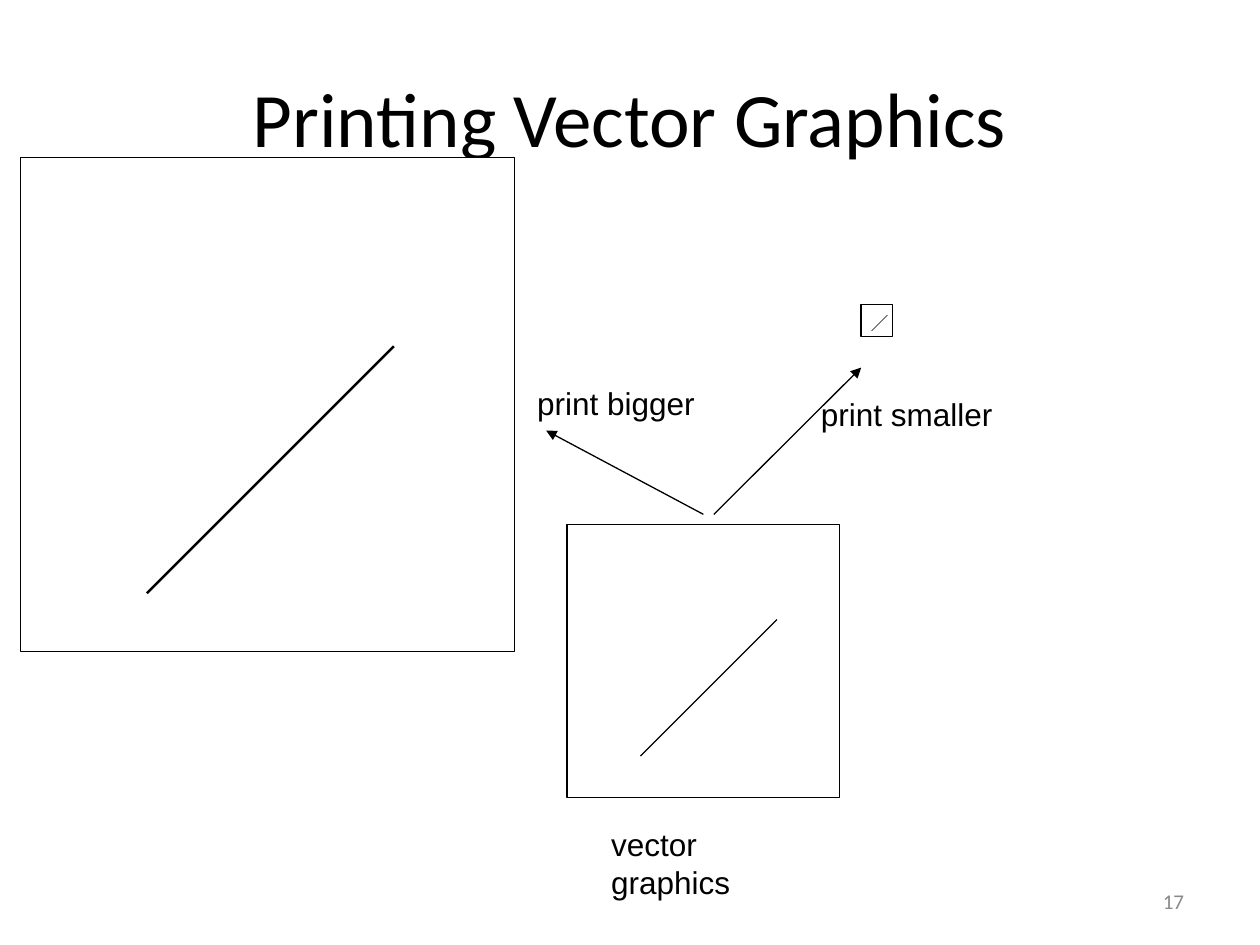
"""Build the slide on printing vector graphics at different sizes."""
from lxml.etree import SubElement as Sub
from pptx import Presentation
from pptx.dml.color import RGBColor as RGB
from pptx.enum.shapes import MSO_CONNECTOR as Conn, MSO_SHAPE as Form
from pptx.enum.text import MSO_ANCHOR as Anchor, PP_ALIGN as Align
from pptx.oxml.ns import qn
from pptx.util import Cm, Pt


def write(box, text, font="Arial", size=18, color="000000",
          align=Align.LEFT, anchor=Anchor.TOP, wrap=False):
    frame = box.text_frame
    frame.word_wrap = wrap
    frame.vertical_anchor = anchor
    para = frame.paragraphs[0]
    para.alignment = align
    run = para.add_run()
    run.text = text
    run.font.name = font
    run.font.size = Pt(size)
    run.font.color.rgb = RGB.from_string(color)


def draw(ends, width=0.75, arrow=False):
    line = shapes.add_connector(Conn.STRAIGHT, *map(Cm, ends))
    line.line.color.rgb = RGB.from_string("000000")
    line.line.width = Pt(width)
    if arrow:
        Sub(line.line._get_or_add_ln(), qn("a:tailEnd"), type="triangle")
    Sub(line._element.spPr, qn("a:effectLst"))


deck = Presentation()
deck.slide_width, deck.slide_height = Cm(25.4), Cm(19.05)
slide = deck.slides.add_slide(deck.slide_layouts[5])
shapes = slide.shapes

title = shapes.title
title.left, title.top = Cm(1.27), Cm(0.76)
title.width, title.height = Cm(22.86), Cm(3.18)
write(title, "Printing Vector Graphics", font="Calibri", size=44,
      align=Align.CENTER, anchor=Anchor.MIDDLE, wrap=True)

page = shapes.add_textbox(Cm(18.2), Cm(17.65), Cm(5.92), Cm(1.02))
write(page, "17", font="Calibri", size=12, color="898989",
      align=Align.RIGHT, anchor=Anchor.MIDDLE, wrap=True)

for ends in [(14.39, 10.37, 17.36, 7.41), (14.18, 10.37, 11.01, 8.68)]:
    draw(ends, arrow=True)

labels = [
    ("vector graphics", 12.07, 16.51, 4.8),
    ("print bigger", 10.58, 7.62, 3.68),
    ("print smaller", 16.3, 7.83, 3.96),
]
for text, left, top, width in labels:
    label = shapes.add_textbox(Cm(left), Cm(top), Cm(width), Cm(1.02))
    write(label, text)

sheets = [
    (11.43, 10.58, 5.5, (12.91, 15.24, 15.66, 12.49), 0.75),
    (0.42, 3.18, 9.95, (2.96, 11.96, 7.94, 6.98), 1.5),
    (17.36, 6.14, 0.64, (17.57, 6.67, 17.89, 6.35), 0.25),
]
for left, top, side, ends, width in sheets:
    sheet = shapes.add_shape(Form.RECTANGLE, Cm(left), Cm(top), Cm(side), Cm(side))
    sheet.shadow.inherit = False
    sheet.fill.solid()
    sheet.fill.fore_color.rgb = RGB.from_string("FFFFFF")
    sheet.line.color.rgb = RGB.from_string("000000")
    sheet.line.width = Pt(0.75)
    draw(ends, width)

deck.save("out.pptx")
